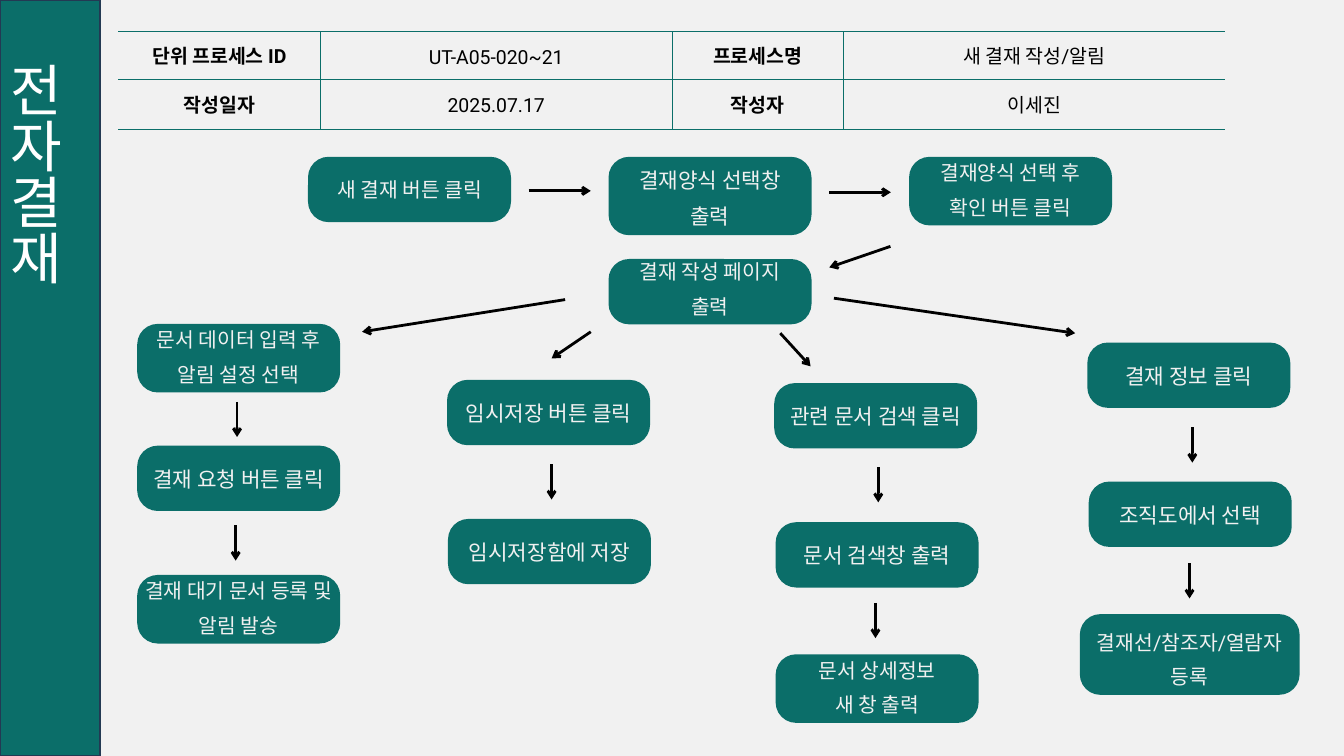
from lxml.etree import SubElement
from pptx import Presentation
from pptx.dml.color import RGBColor
from pptx.enum.shapes import MSO_CONNECTOR, MSO_SHAPE
from pptx.enum.text import MSO_ANCHOR, PP_ALIGN
from pptx.oxml.ns import qn
from pptx.util import Pt

GREEN, PALE, BLACK, WHITE, NAVY = "0B6E69", "F1F1F1", "000000", "FFFFFF", "233953"
SIDE_TITLE = "　전자결재"

TABLE_ROWS = [
    ["단위 프로세스 ID", "UT-A05-020~21", "프로세스명", "새 결재 작성/알림"],
    ["작성일자", "2025.07.17", "작성자", "이세진"],
]
COLUMN_WIDTHS = [216.7, 376.6, 183.6, 409]
ROW_HEIGHTS = [51.1, 53.3]

STEP_WIDTH, STEP_HEIGHT, TALL_HEIGHT, CORNER = 217.5, 70, 73.5, 22
TOP_COLUMNS = [330 + 322 * i for i in range(3)]

# text, left, top, width, height, font size
STEPS = [
    ("새 결재 버튼 클릭", TOP_COLUMNS[0], 168, STEP_WIDTH, STEP_HEIGHT, 21.8),
    ("결재양식 선택창\n출력", TOP_COLUMNS[1], 168, STEP_WIDTH, 84, 22.8),
    ("결재양식 선택 후\n확인 버튼 클릭", TOP_COLUMNS[2], 168, STEP_WIDTH, TALL_HEIGHT, 21.8),
    ("결재 작성 페이지\n출력", TOP_COLUMNS[1], 277.5, STEP_WIDTH, STEP_HEIGHT, 21.8),
    ("문서 데이터 입력 후\n알림 설정 선택", 147, 347, STEP_WIDTH, TALL_HEIGHT, 21.8),
    ("결재 요청 버튼 클릭", 147, 477.5, STEP_WIDTH, STEP_HEIGHT, 22.8),
    ("결재 대기 문서 등록 및\v알림 발송", 147, 616, STEP_WIDTH, TALL_HEIGHT, 21.8),
    ("임시저장 버튼 클릭", 479, 407, STEP_WIDTH, STEP_HEIGHT, 22.8),
    ("임시저장함에 저장", 480, 556, STEP_WIDTH, STEP_HEIGHT, 22.8),
    ("관련 문서 검색 클릭", 829.5, 410.5, STEP_WIDTH, STEP_HEIGHT, 22.8),
    ("문서 검색창 출력", 831, 559.5, STEP_WIDTH, STEP_HEIGHT, 22.8),
    ("문서 상세정보\n새 창 출력", 831, 701, STEP_WIDTH, TALL_HEIGHT, 21.8),
    ("결재 정보 클릭", 1165, 367, STEP_WIDTH, STEP_HEIGHT, 22.8),
    ("조직도에서 선택", 1166.5, 516, STEP_WIDTH, STEP_HEIGHT, 22.8),
    ("결재선/참조자/열람자\v등록", 1157, 658, 235.5, 86.5, 21.8),
]

BRANCH_ARROWS = [
    (566.5, 204.5, 633, 204.5),
    (888.5, 206, 954.5, 206),
    (954, 264, 888.5, 286.5),
    (605.5, 321, 388, 355.5),
    (633, 355.5, 591, 384),
    (836, 357, 868.5, 392.5),
    (893.5, 319.5, 1152, 357),
]
DOWN_LENGTH = 37.7
DOWN_STARTS = [(254, 430.5), (252.5, 563), (591, 497.5), (941, 500.5),
               (938, 646), (1277.5, 458), (1274.5, 603.5)]


def color(value):
    return RGBColor.from_string(value)


def style(para, size, tint, align, bold=False, font="Roboto", spacing=None):
    para.alignment = align
    para.font.name, para.font.size, para.font.bold = font, Pt(size), bold
    para.font.color.rgb = color(tint)
    if spacing:
        para.line_spacing = Pt(spacing)


def set_margins(item, size):
    item.margin_left = item.margin_right = item.margin_top = item.margin_bottom = Pt(size)


def add_filled(page, kind, left, top, width, height):
    shape = page.shapes.add_shape(kind, Pt(left), Pt(top), Pt(width), Pt(height))
    shape.shadow.inherit = False
    shape.fill.solid()
    shape.fill.fore_color.rgb = color(GREEN)
    return shape


def set_borders(cell, hidden):
    """Draw every cell edge except the hidden ones, ahead of the fill."""
    properties = cell._tc.get_or_add_tcPr()
    for edge in ("lnL", "lnR", "lnT", "lnB"):
        line = SubElement(properties, qn(f"a:{edge}"), w=str(Pt(0.75)))
        if edge in hidden:
            SubElement(line, qn("a:noFill"))
        else:
            fill = SubElement(line, qn("a:solidFill"))
            SubElement(fill, qn("a:srgbClr"), val=GREEN)


def add_header_table(page):
    frame = page.shapes.add_table(len(ROW_HEIGHTS), len(COLUMN_WIDTHS), Pt(126.7), Pt(33.8),
                                  Pt(sum(COLUMN_WIDTHS)), Pt(sum(ROW_HEIGHTS)))
    table = frame.table
    table.first_row = table.horz_banding = False
    for column, width in zip(table.columns, COLUMN_WIDTHS):
        column.width = Pt(width)
    for row, height, texts in zip(table.rows, ROW_HEIGHTS, TABLE_ROWS):
        row.height = Pt(height)
        for i, (cell, text) in enumerate(zip(row.cells, texts)):
            cell.text = text
            cell.vertical_anchor = MSO_ANCHOR.MIDDLE
            set_margins(cell, 0.75)
            set_borders(cell, {0: ["lnL"], len(texts) - 1: ["lnR"]}.get(i, []))
            cell.fill.background()
            style(cell.text_frame.paragraphs[0], 20.8, BLACK, PP_ALIGN.CENTER,
                  bold=i % 2 == 0, spacing=29.2)


def add_step(page, text, left, top, width, height, size):
    shape = add_filled(page, MSO_SHAPE.ROUNDED_RECTANGLE, left, top, width, height)
    shape.adjustments[0] = CORNER / height
    shape.line.fill.background()
    frame = shape.text_frame
    frame.word_wrap = False
    frame.text = text
    set_margins(frame, 0)
    if len(text.splitlines()) > 1:
        frame.vertical_anchor = MSO_ANCHOR.BOTTOM
    else:
        frame.vertical_anchor = MSO_ANCHOR.MIDDLE
        frame.margin_bottom = Pt(10)
    for para in frame.paragraphs:
        style(para, size, PALE, PP_ALIGN.CENTER, spacing=round(size * 1.693, 1))


def add_arrow(page, *ends):
    arrow = page.shapes.add_connector(MSO_CONNECTOR.STRAIGHT, *map(Pt, ends))
    arrow.line.width = Pt(3)
    arrow.line.color.rgb = color(BLACK)
    SubElement(arrow.line._get_or_add_ln(), qn("a:tailEnd"), type="arrow")
    SubElement(arrow._element.spPr, qn("a:effectLst"))


def add_side_bar(page):
    bar = add_filled(page, MSO_SHAPE.RECTANGLE, 0, 0, 107.3, 810)
    bar.line.color.rgb = color(NAVY)
    bar.line.width = Pt(2)
    frame = bar.text_frame
    frame.text = SIDE_TITLE
    frame.vertical_anchor = MSO_ANCHOR.BOTTOM
    frame._txBody.bodyPr.set("vert", "eaVert")
    style(frame.paragraphs[0], 60, WHITE, PP_ALIGN.JUSTIFY, font="Calibri")


def main():
    deck = Presentation()
    deck.slide_width, deck.slide_height = Pt(1440), Pt(810)
    page = deck.slides.add_slide(deck.slide_layouts[6])
    page.background.fill.solid()
    page.background.fill.fore_color.rgb = color(PALE)
    add_header_table(page)
    for step in STEPS:
        add_step(page, *step)
    for ends in BRANCH_ARROWS:
        add_arrow(page, *ends)
    for x, y in DOWN_STARTS:
        add_arrow(page, x, y, x, y + DOWN_LENGTH)
    add_side_bar(page)
    deck.save("out.pptx")


if __name__ == "__main__":
    main()
